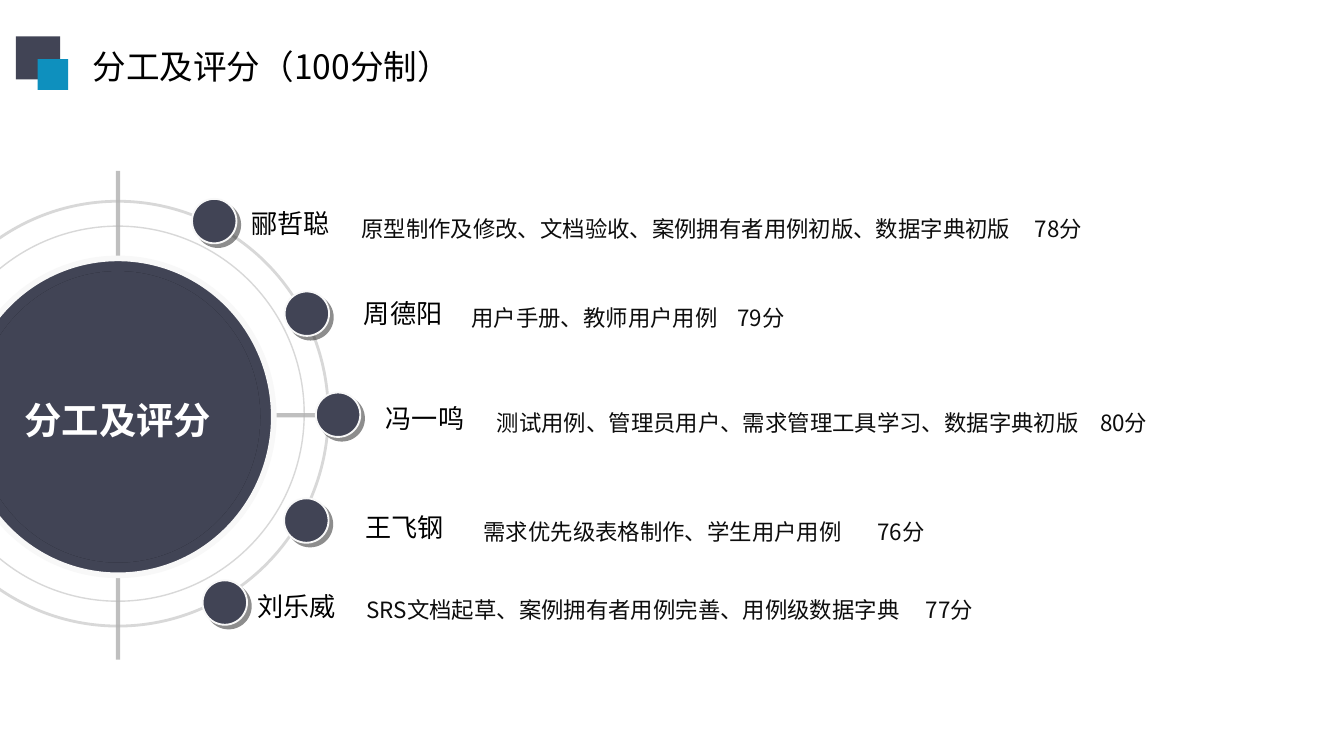
from dataclasses import dataclass
from typing import Any

from lxml.etree import SubElement
from pptx import Presentation
from pptx.dml.color import RGBColor
from pptx.enum.shapes import MSO_CONNECTOR, MSO_SHAPE
from pptx.enum.text import MSO_ANCHOR, MSO_AUTO_SIZE, PP_ALIGN
from pptx.oxml.ns import qn
from pptx.util import Cm, Pt

NAVY = RGBColor(0x41, 0x44, 0x55)
BLUE = RGBColor(0x0E, 0x90, 0xBE)
GRAY = RGBColor(0x80, 0x80, 0x80)
SILVER = RGBColor(0xB2, 0xB2, 0xB2)
OFF_WHITE = RGBColor(0xF8, 0xF8, 0xF8)
WHITE = RGBColor(0xFF, 0xFF, 0xFF)
BLACK = RGBColor(0, 0, 0)
INK = RGBColor(0x0D, 0x0D, 0x0D)
CJK_FONT = "Noto Sans CJK SC"
HUB_X = 2.23

# dot centre, name position, task position and width, score tab, texts
MEMBERS = [
    ((4.05, 4.18), (4.55, 3.81), (6.63, 3.81, 14.68), 12.73,
     "郦哲聪", "原型制作及修改、文档验收、案例拥有者用例初版、数据字典初版", "78分"),
    ((5.8, 5.93), (6.68, 5.51), (8.71, 5.49, 8.41), 5.03,
     "周德阳", "用户手册、教师用户用例", "79分"),
    ((6.39, 7.84), (7.09, 7.49), (9.19, 7.49, 12.73), 11.4,
     "冯一鸣", "测试用例、管理员用户、需求管理工具学习、数据字典初版", "80分"),
    ((5.79, 9.84), (6.71, 9.55), (8.94, 9.55, 8.92), 7.44,
     "王飞钢", "需求优先级表格制作、学生用户用例", "76分"),
    ((4.25, 11.39), (4.67, 11.05), (6.73, 11.02, 12.17), 10.57,
     "刘乐威", "SRS文档起草、案例拥有者用例完善、用例级数据字典", "77分"),
]


def write(tf, text, size, color, font=CJK_FONT, bold=False, align=None,
          spacing=None, tab=None):
    """Fill a text frame with one paragraph; tab is a stop in cm."""
    p = tf.paragraphs[0]
    if align is not None:
        p.alignment = align
    if spacing:
        p.line_spacing = spacing
    if tab:
        stops = SubElement(p._p.get_or_add_pPr(), qn("a:tabLst"))
        SubElement(stops, qn("a:tab"), pos=str(Cm(tab)), algn="l")
    r = p.add_run()
    r.text = text
    r.font.size = Pt(size)
    r.font.bold = bold
    r.font.color.rgb = color
    r.font.name = font
    SubElement(r._r.get_or_add_rPr(), qn("a:ea"), typeface=CJK_FONT)


def set_alpha(color_parent, percent):
    color = color_parent.find(".//" + qn("a:srgbClr"))
    SubElement(color, qn("a:alpha"), val=str(percent * 1000))


@dataclass
class Deck:
    slide: Any
    dark: RGBColor = NAVY

    def shape(self, kind, x, y, w, h, fill=None, line=None, width=1, alpha=None):
        sp = self.slide.shapes.add_shape(kind, Cm(x), Cm(y), Cm(w), Cm(h))
        sp.shadow.inherit = False
        if fill is None:
            sp.fill.background()
        else:
            sp.fill.solid()
            sp.fill.fore_color.rgb = fill
        if line is None:
            sp.line.fill.background()
        else:
            sp.line.color.rgb = line
            sp.line.width = Pt(width)
            if alpha:
                set_alpha(sp.line._ln, alpha)
        return sp

    def circle(self, cx, cy, w, h, **style):
        return self.shape(MSO_SHAPE.OVAL, cx - w / 2, cy - h / 2, w, h, **style)

    def shadow(self, sp, color, distance):
        effects = sp._element.spPr.find(qn("a:effectLst"))
        outer = SubElement(effects, qn("a:outerShdw"), blurRad="0",
                           dist=str(Pt(distance)), dir="2700000",
                           algn="ctr", rotWithShape="0")
        SubElement(outer, qn("a:srgbClr"), val=str(color))
        set_alpha(outer, 50)

    def axis(self, x1, y1, x2, y2):
        line = self.slide.shapes.add_connector(
            MSO_CONNECTOR.STRAIGHT, Cm(x1), Cm(y1), Cm(x2), Cm(y2))
        line.line.color.rgb = GRAY
        line.line.width = Pt(2.25)
        set_alpha(line.line._ln, 50)
        SubElement(line._element.spPr, qn("a:effectLst"))

    def dot(self, cx, cy):
        rim = self.circle(cx, cy, 0.84, 0.84, fill=self.dark, line=OFF_WHITE)
        self.shadow(rim, RGBColor(0x1C, 0x1C, 0x1C), 2.8)
        self.circle(cx, cy, 0.71, 0.71, fill=self.dark)

    def text(self, text, x, y, w, h=0.81, inset=(0.2, 0.1),
             anchor=MSO_ANCHOR.TOP, **style):
        tf = self.slide.shapes.add_textbox(Cm(x), Cm(y), Cm(w), Cm(h)).text_frame
        tf.word_wrap = True
        tf.auto_size = MSO_AUTO_SIZE.SHAPE_TO_FIT_TEXT
        tf.vertical_anchor = anchor
        tf.margin_left = tf.margin_right = Cm(inset[0])
        tf.margin_top = tf.margin_bottom = Cm(inset[1])
        write(tf, text, **style)

    def hub(self, label):
        self.circle(HUB_X, 7.82, 7.04, 7.09, line=SILVER, width=0.75, alpha=50)
        self.circle(HUB_X, 7.82, 7.95, 8.03, line=SILVER, width=1.5, alpha=50)
        self.circle(HUB_X, 7.88, 5.89, 5.99, fill=self.dark, line=OFF_WHITE, width=3)
        core = self.circle(HUB_X, 7.88, 5.38, 5.51, fill=self.dark)
        self.shadow(core, BLACK, 0)
        tf = self.circle(HUB_X, 7.94, 3.45, 3.53, fill=self.dark).text_frame
        tf.word_wrap = False
        tf.vertical_anchor = MSO_ANCHOR.MIDDLE
        write(tf, label, 20, WHITE, font="Arial", bold=True, align=PP_ALIGN.CENTER)


def main():
    prs = Presentation()
    prs.slide_width, prs.slide_height = Cm(25.4), Cm(14.29)
    deck = Deck(prs.slides.add_slide(prs.slide_layouts[6]))

    deck.axis(-2.16, 7.85, 6.63, 7.85)
    deck.axis(HUB_X, 3.23, HUB_X, 12.47)
    deck.hub("分工及评分")

    for dot, name_at, task_at, tab, name, task, score in MEMBERS:
        deck.dot(*dot)
        deck.text(name, *name_at, 5.16, anchor=MSO_ANCHOR.MIDDLE,
                  size=14, color=BLACK, font="Arial")
        deck.text(f"{task}\t{score}", *task_at, size=12, color=INK,
                  spacing=1.3, tab=tab)

    deck.text("分工及评分（100分制）", 1.5, 0.74, 7.42, 1.02, inset=(0.25, 0.13),
              size=18, color=BLACK)
    deck.shape(MSO_SHAPE.RECTANGLE, 0.3, 0.69, 0.84, 0.81, fill=NAVY)
    deck.shape(MSO_SHAPE.RECTANGLE, 0.71, 1.12, 0.58, 0.58, fill=BLUE)

    prs.save("out.pptx")


if __name__ == "__main__":
    main()
